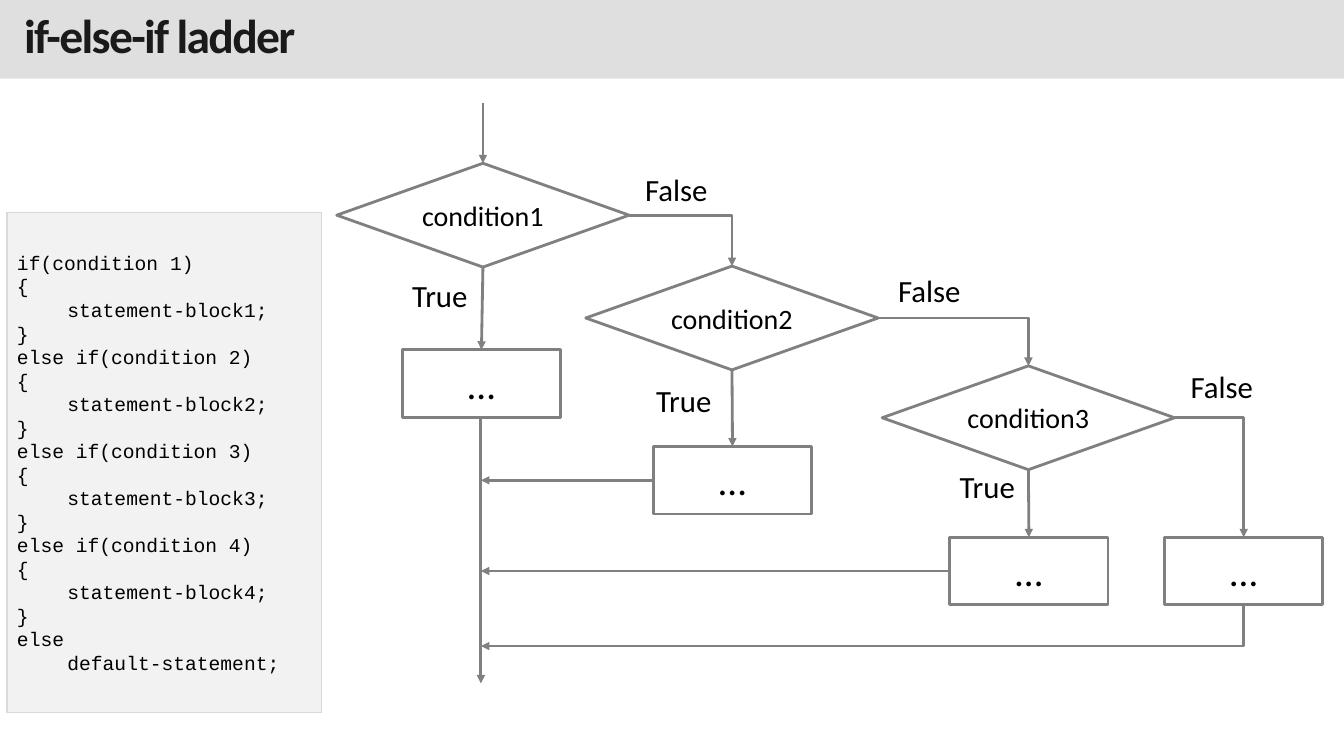
from lxml.etree import SubElement
from pptx import Presentation
from pptx.dml.color import RGBColor
from pptx.enum.shapes import MSO_CONNECTOR, MSO_SHAPE
from pptx.enum.text import MSO_ANCHOR, MSO_AUTO_SIZE, PP_ALIGN
from pptx.oxml.ns import qn
from pptx.util import Inches, Pt

BLACK = RGBColor(0x00, 0x00, 0x00)
INK = RGBColor(0x1A, 0x1A, 0x1A)
GRAY = RGBColor(0x80, 0x80, 0x80)
BAND = RGBColor(0xC0, 0xC0, 0xC0)
PANEL = RGBColor(0xF2, 0xF2, 0xF2)
EDGE = RGBColor(0xD9, 0xD9, 0xD9)

STEM = 4.77  # x of the line where all branches join
BOX_W, BOX_H = 1.57, 0.67
GEM_W, GEM_H = 2.9, 1.03

# left and top of: diamond, box, True label, False label
STEPS = [
    ((3.34, 1.62), (3.99, 3.47), (3.99, 2.7), (6.3, 1.64)),
    ((5.81, 2.64), (6.48, 4.43), (6.41, 3.74), (8.81, 2.65)),
    ((8.75, 3.63), (9.42, 5.33), (9.42, 4.59), (11.71, 3.6)),
]
LAST = (11.55, 5.33)
EXIT_Y = 6.41

CODE = []
for step in range(1, 5):
    test = f"if(condition {step})"
    CODE += [test if step == 1 else "else " + test,
             "{", f"\tstatement-block{step};", "}"]
CODE += ["else", "\tdefault-statement;"]


class Deck:
    def __init__(self):
        self.prs = Presentation()
        self.prs.slide_width = Inches(13.33)
        self.prs.slide_height = Inches(7.5)
        self.slide = self.prs.slides.add_slide(self.prs.slide_layouts[5])
        self.shapes = self.slide.shapes

    def style(self, para, size, color=BLACK, font="Calibri", bold=False):
        for run in para.runs:
            run.font.name = font
            run.font.size = Pt(size)
            run.font.color.rgb = color
            run.font.bold = bold

    def title(self, text):
        bar = self.shapes.title
        bar.left, bar.top = Inches(0), Inches(0)
        bar.width, bar.height = self.prs.slide_width, Inches(0.78)
        bar.fill.solid()
        bar.fill.fore_color.rgb = BAND
        tint = bar.fill._xPr.find(".//" + qn("a:srgbClr"))
        SubElement(tint, qn("a:alpha"), val="50000")
        frame = bar.text_frame
        frame.text = text
        frame.auto_size = MSO_AUTO_SIZE.NONE
        frame.vertical_anchor = MSO_ANCHOR.MIDDLE
        frame.margin_left = frame.margin_right = Inches(0.24)
        frame.margin_top = frame.margin_bottom = Inches(0.12)
        para = frame.paragraphs[0]
        para.alignment = PP_ALIGN.LEFT
        para.line_spacing = 0.85
        self.style(para, 34, INK, bold=True)
        para.runs[0].font._element.set("spc", "-120")

    def shape(self, kind, spot, size, edge=GRAY, width=2, fill=None):
        item = self.shapes.add_shape(kind, *map(Inches, spot + size))
        item.shadow.inherit = False
        if fill is None:
            item.fill.background()
        else:
            item.fill.solid()
            item.fill.fore_color.rgb = fill
        item.line.color.rgb = edge
        item.line.width = Pt(width)
        item.text_frame.vertical_anchor = MSO_ANCHOR.MIDDLE
        return item

    def node(self, kind, spot, size, text, points):
        frame = self.shape(kind, spot, size).text_frame
        frame.word_wrap = False
        frame.text = text
        para = frame.paragraphs[0]
        para.alignment = PP_ALIGN.CENTER
        self.style(para, points)

    def gem(self, spot, text):
        self.node(MSO_SHAPE.FLOWCHART_DECISION, spot, (GEM_W, GEM_H), text, 20)

    def box(self, spot):
        self.node(MSO_SHAPE.FLOWCHART_PROCESS, spot, (BOX_W, BOX_H), "…", 28)

    def label(self, spot, text):
        width = 0.76 if text == "True" else 0.83
        item = self.shapes.add_textbox(*map(Inches, spot + (width, 0.47)))
        frame = item.text_frame
        frame.word_wrap = False
        frame.auto_size = MSO_AUTO_SIZE.SHAPE_TO_FIT_TEXT
        frame.text = text
        self.style(frame.paragraphs[0], 22)

    def code(self, spot, size, lines):
        """Draw a panel of code; a leading tab marks an indented line."""
        panel = self.shape(MSO_SHAPE.RECTANGLE, spot, size, EDGE, 1, PANEL)
        frame = panel.text_frame
        frame.word_wrap = True
        for i, line in enumerate(lines):
            para = frame.paragraphs[0] if i == 0 else frame.add_paragraph()
            para.text = line.lstrip("\t")
            para.alignment = PP_ALIGN.LEFT
            para.line_spacing = Pt(16.8)
            if line.startswith("\t"):
                para._p.get_or_add_pPr().set("marL", str(Inches(0.5)))
            self.style(para, 14, font="Courier New")

    def arrow(self, start, end, bent=False, tip="tailEnd"):
        """Draw an arrow; a bent one runs sideways first, then up or down."""
        kind = MSO_CONNECTOR.ELBOW if bent else MSO_CONNECTOR.STRAIGHT
        link = self.shapes.add_connector(kind, *map(Inches, start + end))
        link.line.color.rgb = GRAY
        link.line.width = Pt(2)
        props = link._element.spPr
        if bent:
            props.find(qn("a:prstGeom")).set("prst", "bentConnector2")
        SubElement(props.find(qn("a:ln")), qn("a:" + tip), type="triangle")
        SubElement(props, qn("a:effectLst"))


def main():
    deck = Deck()
    deck.title("if-else-if ladder")
    deck.code((0.07, 2.11), (3.12, 4.96), CODE)
    deck.arrow((4.79, 1.02), (4.79, 1.62))

    tops = [(gem[0] + GEM_W / 2, gem[1]) for gem, *_ in STEPS[1:]]
    tops.append((LAST[0] + BOX_W / 2, LAST[1]))
    for i, (gem, box, yes, no) in enumerate(STEPS):
        mid = gem[0] + GEM_W / 2
        deck.gem(gem, f"condition{i + 1}")
        deck.box(box)
        deck.label(yes, "True")
        deck.label(no, "False")
        deck.arrow((mid, gem[1] + GEM_H), (box[0] + BOX_W / 2, box[1]))
        deck.arrow((gem[0] + GEM_W, gem[1] + GEM_H / 2), tops[i], bent=True)
        if i:
            level = box[1] + BOX_H / 2
            deck.arrow((box[0], level), (STEM, level))

    deck.box(LAST)
    deck.arrow((STEM, STEPS[0][1][1] + BOX_H), (STEM, 6.78))
    deck.arrow((STEM, EXIT_Y), (tops[-1][0], LAST[1] + BOX_H),
               bent=True, tip="headEnd")
    deck.prs.save("out.pptx")


if __name__ == "__main__":
    main()
